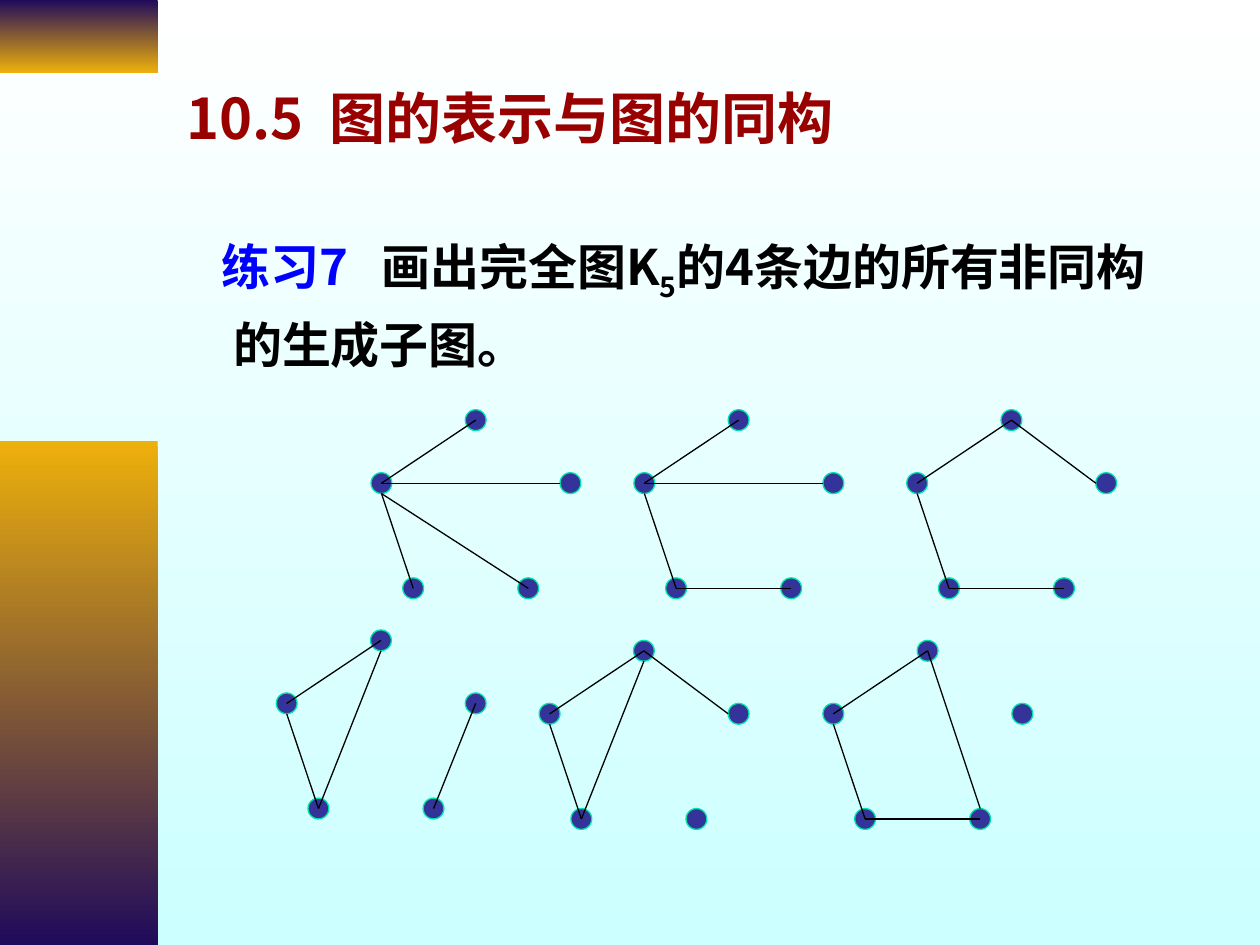
from dataclasses import dataclass

from lxml.etree import SubElement
from pptx import Presentation
from pptx.dml.color import RGBColor
from pptx.enum.shapes import MSO_CONNECTOR, MSO_SHAPE
from pptx.enum.text import MSO_ANCHOR, MSO_AUTO_SIZE, PP_ALIGN
from pptx.oxml.ns import qn
from pptx.util import Cm, Pt


@dataclass(frozen=True)
class Theme:
    """Colours, type and line sizes of the slide."""
    font: str = "Noto Sans CJK SC"
    heading: str = "990000"
    label: str = "0000FF"
    ink: str = "000000"
    paper: tuple = ("FFFFFF", "CCFFFF")
    navy: str = "200B5B"
    gold: str = "EEB00B"
    vertex: str = "333399"
    rim: str = "00E4A8"
    heading_size: float = 32
    body_size: float = 28
    line_width: float = 0.75


THEME = Theme()
RADIUS = 0.21
VERTICES = {
    "T": (1.9, 0),
    "L": (0, 1.27),
    "R": (3.81, 1.27),
    "A": (0.64, 3.39),
    "B": (2.96, 3.39),
}
SIDES = {"": (0, 0), "n": (0, -RADIUS), "s": (0, RADIUS), "w": (-RADIUS, 0)}
SUBGRAPHS = [
    (7.69, 8.47, "T-L L-Rw Ls-A Ls-B"),
    (12.99, 8.47, "T-L L-Rw Ls-A A-B"),
    (18.49, 8.47, "T-L T-Rw Ls-A A-B"),
    (5.78, 12.91, "T-L B-R Ls-A A-Ts"),
    (11.08, 13.12, "T-L T-Rw Ls-A A-Ts"),
    (16.8, 13.12, "T-L T-Bn Ls-A A-B"),
]


def rgb(code):
    """Return the colour of a hex code."""
    return RGBColor.from_string(code)


def fade_down(fill, top_colour, bottom_colour):
    """Give a fill a vertical two-colour gradient."""
    fill.gradient()
    fill.gradient_angle = 270
    for stop, colour in zip(fill.gradient_stops, (top_colour, bottom_colour)):
        stop.color.rgb = rgb(colour)


def add_runs(paragraph, pieces, size):
    """Add bold runs given as text, colour and extra attributes."""
    for text, colour, attributes in pieces:
        run = paragraph.add_run()
        run.text = text
        run.font.size = Pt(size)
        run.font.bold = True
        run.font.color.rgb = rgb(colour)
        run.font.name = THEME.font
        properties = run._r.get_or_add_rPr()
        SubElement(properties, qn("a:ea")).set("typeface", THEME.font)
        for key, value in attributes.items():
            properties.set(key, value)


def add_side_band(slide, top, height, colours):
    """Draw one gradient band along the left edge."""
    band = slide.shapes.add_shape(
        MSO_SHAPE.RECTANGLE, 0, Cm(top), Cm(3.18), Cm(height))
    band.shadow.inherit = False
    band.line.fill.background()
    fade_down(band.fill, *colours)


def place_heading(slide, left, top, width, height):
    """Move the title placeholder into its box and write the heading."""
    title = slide.shapes.title
    title.left, title.top = Cm(left), Cm(top)
    title.width, title.height = Cm(width), Cm(height)
    frame = title.text_frame
    frame.auto_size = MSO_AUTO_SIZE.NONE
    frame.vertical_anchor = MSO_ANCHOR.TOP
    heading = frame.paragraphs[0]
    heading.alignment = PP_ALIGN.LEFT
    add_runs(heading, [
        ("10.5", THEME.heading, {}),
        (" ", THEME.heading, {"spc": "720"}),
        ("图的表示与图的同构", THEME.heading, {}),
    ], THEME.heading_size)


def place_exercise(slide, left, top, width, height):
    """Write the exercise with a hanging first line."""
    box = slide.shapes.add_textbox(Cm(left), Cm(top), Cm(width), Cm(height))
    frame = box.text_frame
    frame.word_wrap = True
    exercise = frame.paragraphs[0]
    exercise.line_spacing = 1.2
    indents = exercise._p.get_or_add_pPr()
    indents.set("marL", str(Cm(0.95)))
    indents.set("indent", str(Cm(-0.23)))
    add_runs(exercise, [
        ("练习7", THEME.label, {}),
        (" ", THEME.label, {"spc": "1260"}),
        ("画出完全图K", THEME.ink, {}),
        ("5", THEME.ink, {"baseline": "-25000"}),
        ("的4条边的所有非同构的生成子图。", THEME.ink, {}),
    ], THEME.body_size)


def add_subgraph(slide, left, top, edges):
    """Draw five vertices and the listed edges from the given corner."""
    subgraph = slide.shapes.add_group_shape().shapes

    def locate(end):
        """Return the position of a vertex centre or of one of its sides."""
        x, y = VERTICES[end[0]]
        dx, dy = SIDES[end[1:]]
        return Cm(left + x + dx), Cm(top + y + dy)

    for x, y in VERTICES.values():
        vertex = subgraph.add_shape(
            MSO_SHAPE.OVAL, Cm(left + x - RADIUS), Cm(top + y - RADIUS),
            Cm(2 * RADIUS), Cm(2 * RADIUS))
        vertex.shadow.inherit = False
        vertex.fill.solid()
        vertex.fill.fore_color.rgb = rgb(THEME.vertex)
        vertex.line.color.rgb = rgb(THEME.rim)
        vertex.line.width = Pt(THEME.line_width)
    for pair in edges.split():
        start, end = pair.split("-")
        edge = subgraph.add_connector(
            MSO_CONNECTOR.STRAIGHT, *locate(start), *locate(end))
        edge.line.color.rgb = rgb(THEME.ink)
        edge.line.width = Pt(THEME.line_width)
        SubElement(edge._element.spPr, qn("a:effectLst"))


def main():
    """Build and save the slide."""
    deck = Presentation()
    deck.slide_width, deck.slide_height = Cm(25.4), Cm(19.05)
    slide = deck.slides.add_slide(deck.slide_layouts[5])
    fade_down(slide.background.fill, *THEME.paper)
    add_side_band(slide, 0, 1.47, (THEME.navy, THEME.gold))
    add_side_band(slide, 8.89, 10.16, (THEME.gold, THEME.navy))
    place_heading(slide, 3.5, 1.55, 20.8, 2.1)
    place_exercise(slide, 3.5, 4.37, 20.8, 3.6)
    for left, top, edges in SUBGRAPHS:
        add_subgraph(slide, left, top, edges)
    deck.save("out.pptx")


if __name__ == "__main__":
    main()
